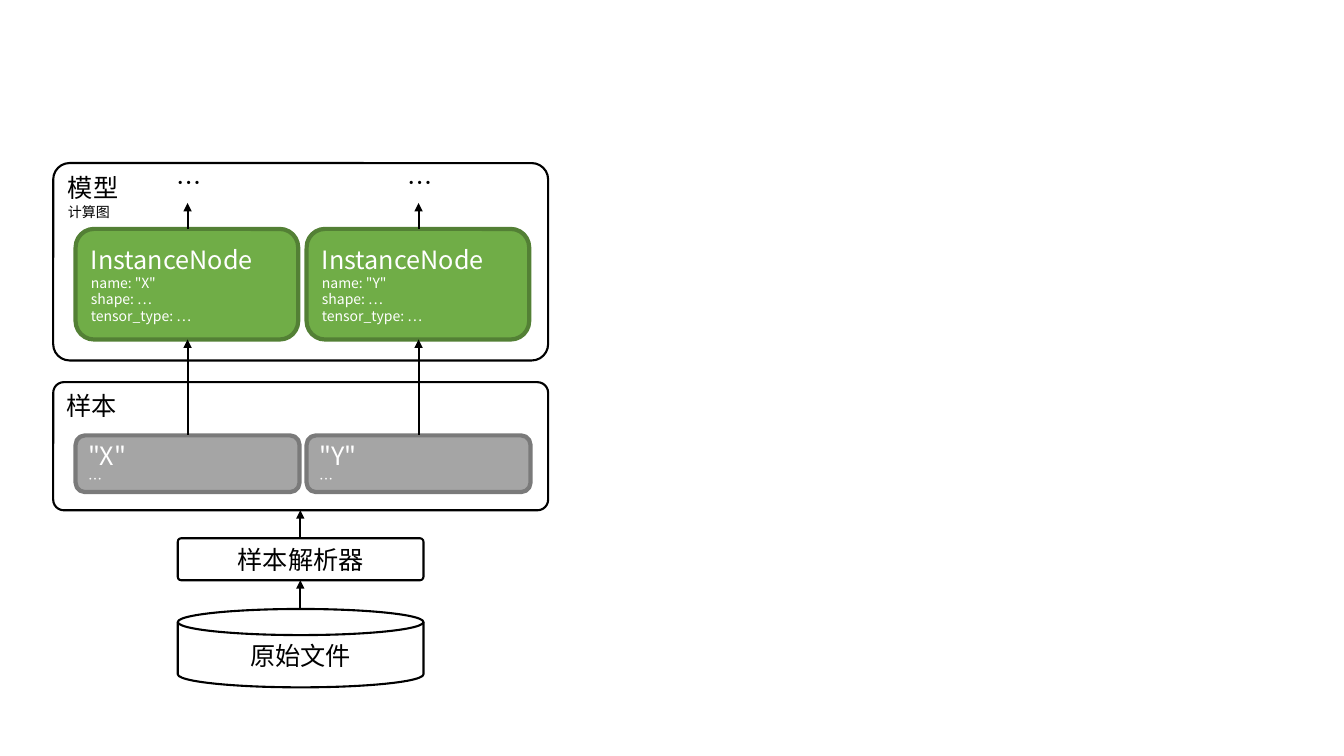
from pptx import Presentation
from pptx.dml.color import RGBColor
from pptx.enum.shapes import MSO_CONNECTOR, MSO_SHAPE
from pptx.enum.text import MSO_ANCHOR, PP_ALIGN
from pptx.oxml.ns import qn
from pptx.util import Pt
from lxml.etree import SubElement

FONT = "Noto Sans CJK SC"
COLORS = {"black": "000000", "white": "FFFFFF", "green": "70AD47",
          "moss": "538035", "gray": "A5A5A5", "slate": "7A7A7A"}

deck = Presentation()
deck.slide_width, deck.slide_height = Pt(960), Pt(540)
slide = deck.slides.add_slide(deck.slide_layouts[6])
shapes = slide.shapes


def write(shape, lines, color="black", align=PP_ALIGN.LEFT):
    """First line is the title at 18 pt, the rest is detail at 10 pt."""
    frame = shape.text_frame
    frame.text = "\n".join(lines)
    for i, para in enumerate(frame.paragraphs):
        para.alignment = align
        font = para.font
        font.size = Pt(10 if i else 18)
        font.name = FONT
        font.color.rgb = RGBColor.from_string(COLORS[color])
        props = para._p.pPr.find(qn("a:defRPr"))
        SubElement(props, qn("a:ea")).set("typeface", FONT)


def add_box(kind, left, top, width, height, fill=None, line="black", weight=1.5):
    box = shapes.add_shape(kind, Pt(left), Pt(top), Pt(width), Pt(height))
    box.shadow.inherit = False
    if fill:
        box.fill.solid()
        box.fill.fore_color.rgb = RGBColor.from_string(COLORS[fill])
    else:
        box.fill.background()
    box.line.color.rgb = RGBColor.from_string(COLORS[line])
    box.line.width = Pt(weight)
    middle = MSO_ANCHOR.MIDDLE if fill else MSO_ANCHOR.TOP
    box.text_frame.vertical_anchor = middle
    return box


# Frames, parser and source file
round_box, disk = MSO_SHAPE.ROUNDED_RECTANGLE, MSO_SHAPE.FLOWCHART_MAGNETIC_DISK
left, center = PP_ALIGN.LEFT, PP_ALIGN.CENTER
for kind, place, lines, align in [
    (round_box, (38, 116.5, 353.5, 141), ["模型", "计算图"], left),
    (round_box, (38, 273, 353.5, 91.5), ["样本"], left),
    (round_box, (127, 384.5, 175.5, 30), ["样本解析器"], center),
    (disk, (127, 435, 175.5, 56), ["原始文件"], center),
]:
    box = add_box(kind, *place)
    if kind == round_box:
        box.adjustments[0] = 0.083
    write(box, lines, align=align)

# One column for each input: sample field, node and dots
arrows = [(214.5, 364.5, 384.5), (214.5, 414.5, 435)]
for col, name in enumerate("XY"):
    x = 54 + col * 165
    field = add_box(round_box, x, 311, 160, 40.5, "gray", "slate", 3)
    write(field, [f'"{name}"', "…"], "white")
    node = add_box(round_box, x, 163.5, 159, 79, "green", "moss", 3)
    write(node, ["InstanceNode", f'name: "{name}"', "shape: …",
                 "tensor_type: …"], "white")
    dots = shapes.add_textbox(Pt(x + 65), Pt(116), Pt(29.5), Pt(29))
    dots.text_frame.word_wrap = False
    write(dots, ["…"])
    arrows += [(x + 80, 242.5, 311), (x + 80, 145, 163.5)]

# Upward arrows
for x, tip, base in arrows:
    arrow = shapes.add_connector(MSO_CONNECTOR.STRAIGHT,
                                 Pt(x), Pt(tip), Pt(x), Pt(base))
    arrow.line.color.rgb = RGBColor.from_string(COLORS["black"])
    arrow.line.width = Pt(1.5)
    SubElement(arrow.line._get_or_add_ln(), qn("a:headEnd")).set("type", "triangle")
    SubElement(arrow._element.spPr, qn("a:effectLst"))

deck.save("out.pptx")
